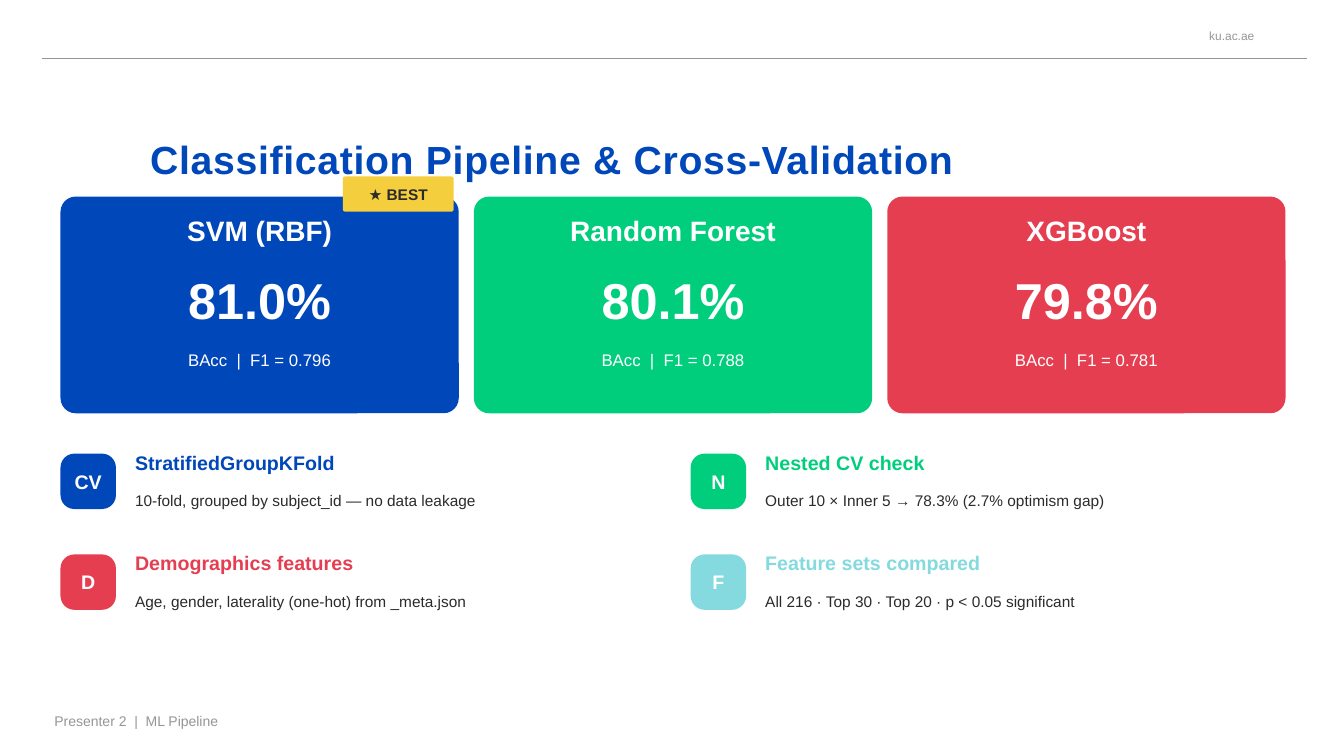
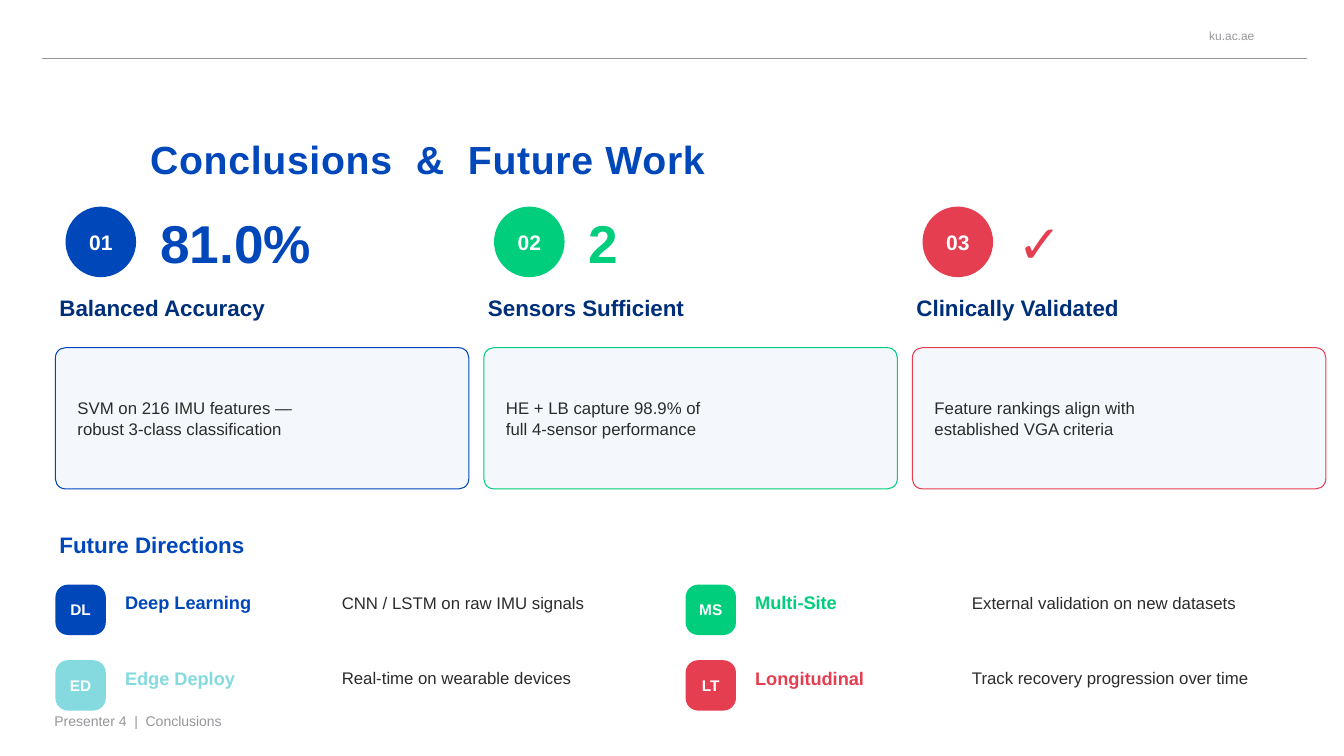
from lxml.etree import SubElement
from pptx import Presentation
from pptx.dml.color import RGBColor as RGB
from pptx.enum.shapes import MSO_CONNECTOR as Link, MSO_SHAPE as Shape
from pptx.enum.text import MSO_ANCHOR as Anchor, PP_ALIGN as Align
from pptx.oxml.ns import qn
from pptx.util import Emu, Pt


class Theme:
    px = 9144  # 100 px to the inch
    blue, green, red, aqua = "0047BA", "00CE7C", "E53E51", "84DADE"
    navy, gold, ink, grey = "002F7A", "F5CE3E", "2B2B2B", "96969A"
    white, pale = "FFFFFF", "F4F8FC"
    font = "Arial"
    rule = Pt(0.75)
    track = "50"  # title letter spacing, hundredths of a point
    type = {
        "title": dict(size=Pt(28), bold=True),
        "site": dict(size=Pt(8.5)),
        "foot": dict(size=Pt(10)),
        "name": dict(size=Pt(20), bold=True),
        "score": dict(size=Pt(36), bold=True),
        "fact": dict(size=Pt(38), bold=True),
        "head": dict(size=Pt(16), bold=True),
        "count": dict(size=Pt(15), bold=True),
        "item": dict(size=Pt(14), bold=True),
        "goal": dict(size=Pt(13), bold=True),
        "tag": dict(size=Pt(11), bold=True),
        "body": dict(size=Pt(12)),
        "note": dict(size=Pt(11)),
    }


def px(*nums):
    return [Emu(n * Theme.px) for n in nums]


def put(page, box, text="", kind="body", tint=Theme.ink, form=None, fill=None,
        edge=None, bend=None, align=Align.LEFT, anchor=Anchor.TOP,
        pad=(4, 2, 4, 2)):
    """Place a text box, or a preset shape when a form is given."""
    if form is None:
        item = page.shapes.add_textbox(*px(*box))
    else:
        item = page.shapes.add_shape(form, *px(*box))
        item.shadow.inherit = False
        item.fill.solid()
        item.fill.fore_color.rgb = RGB.from_string(fill)
        if edge:
            item.line.color.rgb = RGB.from_string(edge)
            item.line.width = Theme.rule
        else:
            item.line.fill.background()
        if bend:
            item.adjustments[0] = bend
    if not text:
        return item
    left, top, right, low = px(*pad)
    frame = item.text_frame
    layout = dict(word_wrap=True, vertical_anchor=anchor, margin_left=left,
                  margin_top=top, margin_right=right, margin_bottom=low)
    for key, val in layout.items():
        setattr(frame, key, val)
    para = frame.paragraphs[0]
    para.text = text
    para.alignment = align
    for run in para.runs:
        for key, val in dict(name=Theme.font, **Theme.type[kind]).items():
            setattr(run.font, key, val)
        run.font.color.rgb = RGB.from_string(tint)
    return item


T = Theme
mid = dict(anchor=Anchor.MIDDLE)
center = dict(align=Align.CENTER)
badge = dict(tint=T.white, form=Shape.ROUNDED_RECTANGLE, bend=0.25, **mid, **center)
card = dict(form=Shape.ROUNDED_RECTANGLE, bend=0.07)

deck = Presentation()
deck.slide_width, deck.slide_height = px(1333, 750)

# Shared frame: site, rule, title, footer
pages = []
for title, foot in [
    ("Classification Pipeline & Cross-Validation", "Presenter 2  |  ML Pipeline"),
    ("Conclusions  &  Future Work", "Presenter 4  |  Conclusions"),
]:
    page = deck.slides.add_slide(deck.slide_layouts[6])
    put(page, (1139, 22, 105, 27), "ku.ac.ae", "site", T.grey,
        align=Align.RIGHT, pad=(0, 0, 0, 0), **mid)
    rule = page.shapes.add_connector(Link.STRAIGHT, *px(42, 58, 1296, 58))
    rule.line.color.rgb = RGB.from_string(T.grey)
    rule.line.width = T.rule
    SubElement(rule._element.spPr, qn("a:effectLst"))
    head = put(page, (149, 59, 1093, 122), title, "title", T.blue,
               anchor=Anchor.BOTTOM, pad=(0, 0, 0, 0))
    for run in head.text_frame.paragraphs[0].runs:
        run._r.get_or_add_rPr().set("spc", T.track)
    put(page, (50, 705, 800, 30), foot, "foot", T.grey)
    pages.append(page)
models, ending = pages

# Slide 1: model cards
for col, (name, score, f1, hue) in enumerate([
    ("SVM (RBF)", "81.0%", "0.796", T.blue),
    ("Random Forest", "80.1%", "0.788", T.green),
    ("XGBoost", "79.8%", "0.781", T.red),
]):
    x = 60 + 410 * col
    put(models, (x, 195, 395, 215), fill=hue, **card)
    for y, high, text, kind in [
        (210, 50, name, "name"),
        (265, 75, score, "score"),
        (345, 40, f"BAcc  |  F1 = {f1}", "body"),
    ]:
        put(models, (x, y, 395, high), text, kind, T.white, **center)
put(models, (340, 175, 110, 35), "★ BEST", "tag", fill=T.gold,
    **card, **mid, **center)

# Slide 1: method notes, two by two
for i, (mark, name, note, hue) in enumerate([
    ("CV", "StratifiedGroupKFold",
     "10-fold, grouped by subject_id — no data leakage", T.blue),
    ("N", "Nested CV check",
     "Outer 10 × Inner 5 → 78.3% (2.7% optimism gap)", T.green),
    ("D", "Demographics features",
     "Age, gender, laterality (one-hot) from _meta.json", T.red),
    ("F", "Feature sets compared",
     "All 216 · Top 30 · Top 20 · p < 0.05 significant", T.aqua),
]):
    row, col = divmod(i, 2)
    x, y = 60 + 625 * col, 450 + 100 * row
    put(models, (x, y, 55, 55), mark, "item", fill=hue, **badge)
    put(models, (x + 70, y - 5, 540, 40), name, "item", hue)
    put(models, (x + 70, y + 35, 540, 45), note, "note")

# Slide 2: three findings
for col, (fact, name, note, hue) in enumerate([
    ("81.0%", "Balanced Accuracy",
     "SVM on 216 IMU features —\nrobust 3-class classification", T.blue),
    ("2", "Sensors Sufficient",
     "HE + LB capture 98.9% of\nfull 4-sensor performance", T.green),
    ("✓", "Clinically Validated",
     "Feature rankings align with\nestablished VGA criteria", T.red),
]):
    x = 55 + 425 * col
    put(ending, (x + 10, 205, 70, 70), f"{col + 1:02}", "count", T.white,
        form=Shape.OVAL, fill=hue, **mid, **center)
    put(ending, (x + 100, 195, 300, 90), fact, "fact", hue, **mid)
    put(ending, (x, 290, 410, 40), name, "head", T.navy)
    put(ending, (x, 345, 410, 140), note, fill=T.pale, edge=hue,
        pad=(19, 7, 19, 7), **card, **mid)

# Slide 2: future directions, two by two
put(ending, (55, 525, 500, 40), "Future Directions", "head", T.blue)
for i, (mark, name, note, hue) in enumerate([
    ("DL", "Deep Learning", "CNN / LSTM on raw IMU signals", T.blue),
    ("MS", "Multi-Site", "External validation on new datasets", T.green),
    ("ED", "Edge Deploy", "Real-time on wearable devices", T.aqua),
    ("LT", "Longitudinal", "Track recovery progression over time", T.red),
]):
    row, col = divmod(i, 2)
    x, y = 55 + 625 * col, 580 + 75 * row
    put(ending, (x, y, 50, 50), mark, "tag", fill=hue, **badge)
    put(ending, (x + 65, y - 5, 210, 45), name, "goal", hue, **mid)
    put(ending, (x + 280, y - 5, 340, 45), note, **mid)

deck.save("out.pptx")
